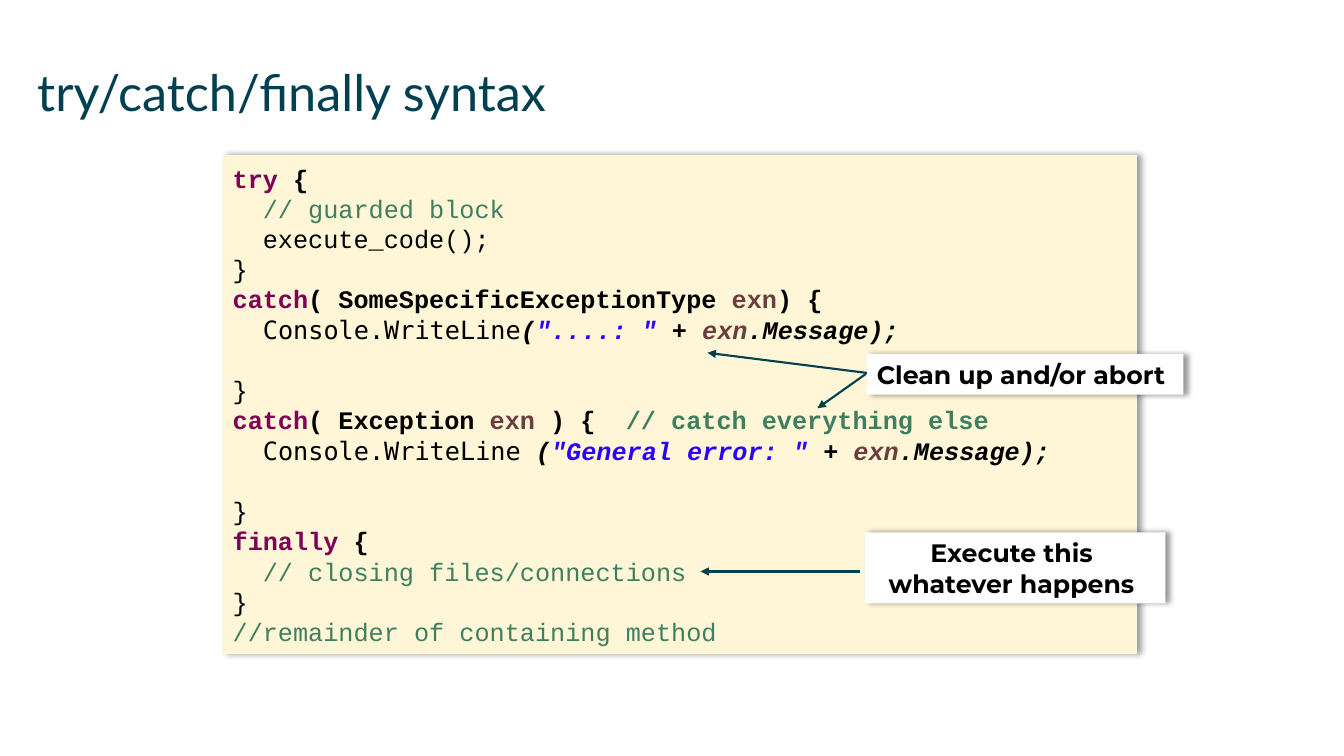
import pptx
import pptx.dml.color
import pptx.enum.shapes
import pptx.enum.text
import pptx.oxml
import pptx.oxml.ns
import pptx.util
from pptx.util import Pt

INK = "000000"
TEAL = "004050"
KEYWORD = "7F0055"
COMMENT = "3F7F5F"
VARIABLE = "6A3E3E"
STRING = "2A00FF"

CODE_FONT = "Courier New"
CALL_FONT = "DejaVu Sans Mono"

# Span style: font, colour, bold, italic
STYLES = {
    "plain": (CODE_FONT, INK, False, False),
    "call": (CALL_FONT, INK, False, False),
    "comment": (CODE_FONT, COMMENT, False, False),
    "bold comment": (CODE_FONT, COMMENT, True, False),
    "keyword": (CODE_FONT, KEYWORD, True, False),
    "bold": (CODE_FONT, INK, True, False),
    "variable": (CODE_FONT, VARIABLE, True, False),
    "italic": (CODE_FONT, INK, True, True),
    "italic variable": (CODE_FONT, VARIABLE, True, True),
    "string": (CODE_FONT, STRING, True, True),
}


def write_line_spans(call, message):
    """Spans of a code line that writes a message and the exception text."""
    return [("  ", "plain"), (call, "call"), ("(", "italic"), (message, "string"),
            (" + ", "italic"), ("exn", "italic variable"), (".Message);", "italic")]


CLOSING_BRACE = [("}", "plain")]
EMPTY_LINE = [("  ", "plain")]
CODE = [
    [("try", "keyword"), (" {", "bold")],
    [("  ", "plain"), ("// guarded block", "comment")],
    [("  execute_code();", "plain")],
    CLOSING_BRACE,
    [("catch", "keyword"), ("( SomeSpecificExceptionType ", "bold"),
     ("exn", "variable"), (") {", "bold")],
    write_line_spans("Console.WriteLine", '"....: "'),
    EMPTY_LINE,
    CLOSING_BRACE,
    [("catch", "keyword"), ("( Exception ", "bold"), ("exn", "variable"),
     (" ) {  ", "bold"), ("// catch everything else", "bold comment")],
    write_line_spans("Console.WriteLine ", '"General error: "'),
    EMPTY_LINE,
    CLOSING_BRACE,
    [("finally", "keyword"), (" {", "bold")],
    [("  ", "plain"), ("// closing files/connections", "comment")],
    CLOSING_BRACE,
    [("//remainder of containing method", "comment")],
]


def rgb(colour):
    return pptx.dml.color.RGBColor.from_string(colour)


def format_span(span, font, size, colour, bold=False, italic=False):
    span.font.name = font
    span.font.size = Pt(size)
    span.font.color.rgb = rgb(colour)
    span.font.bold = bold
    span.font.italic = italic


def add_soft_shadow(shape):
    shape.shadow.inherit = False
    effects = shape._element.spPr.find(pptx.oxml.ns.qn("a:effectLst"))
    effects.append(pptx.oxml.parse_xml(
        f'<a:outerShdw {pptx.oxml.ns.nsdecls("a")} blurRad="{Pt(4)}" dist="{Pt(3)}" dir="0">'
        '<a:srgbClr val="000000"><a:alpha val="40000"/></a:srgbClr></a:outerShdw>'))


def add_panel(page, left, top, width, height, fill):
    panel = page.shapes.add_shape(pptx.enum.shapes.MSO_SHAPE.RECTANGLE,
                                  Pt(left), Pt(top), Pt(width), Pt(height))
    panel.fill.solid()
    panel.fill.fore_color.rgb = rgb(fill)
    panel.line.fill.background()
    add_soft_shadow(panel)
    frame = panel.text_frame
    frame.word_wrap = True
    frame.vertical_anchor = pptx.enum.text.MSO_ANCHOR.MIDDLE
    return frame


def add_title(page, text):
    box = page.shapes.add_textbox(Pt(26.6), Pt(43.9), Pt(907), Pt(63.4))
    frame = box.text_frame
    frame.word_wrap = True
    frame.margin_left = frame.margin_right = frame.margin_top = frame.margin_bottom = 0
    frame.text = text
    format_span(frame.paragraphs[0].runs[0], "Lato", 36, TEAL)


def add_code(page, left, top, width, height, lines):
    frame = add_panel(page, left, top, width, height, "FEF6D7")
    frame.text = "\n" * (len(lines) - 1)
    for para, spans in zip(frame.paragraphs, lines):
        para.alignment = pptx.enum.text.PP_ALIGN.LEFT
        para.line_spacing = Pt(21.6)
        for text, style in spans:
            span = para.add_run()
            span.text = text
            font, colour, bold, italic = STYLES[style]
            format_span(span, font, 18, colour, bold, italic)


def add_callout(page, left, top, width, height, text, alignment):
    frame = add_panel(page, left, top, width, height, "FFFFFF")
    para = frame.paragraphs[0]
    para.text = text
    para.alignment = alignment
    for span in para.runs:
        format_span(span, "Montserrat", 18, INK, bold=True)


def add_arrow(page, start, end):
    arrow = page.shapes.add_connector(pptx.enum.shapes.MSO_CONNECTOR.STRAIGHT,
                                      *(Pt(value) for value in start + end))
    arrow.line.color.rgb = rgb(TEAL)
    arrow.line.width = Pt(1.5)
    properties = arrow._element.spPr
    namespace = pptx.oxml.ns.nsdecls("a")
    properties.find(pptx.oxml.ns.qn("a:ln")).append(
        pptx.oxml.parse_xml(f'<a:tailEnd {namespace} type="triangle"/>'))
    properties.append(pptx.oxml.parse_xml(f"<a:effectLst {namespace}/>"))


def main():
    deck = pptx.Presentation()
    deck.slide_width, deck.slide_height = Pt(960), Pt(540)
    page = deck.slides.add_slide(deck.slide_layouts[6])
    align = pptx.enum.text.PP_ALIGN

    add_code(page, 159.1, 110.9, 653, 356.4, CODE)
    add_title(page, "try/catch/finally syntax")

    add_callout(page, 619.2, 252.7, 226.1, 29.1, "Clean up and/or abort", align.LEFT)
    add_arrow(page, (619.2, 266.4), (505.4, 252))
    add_arrow(page, (618.5, 267.1), (583.9, 291.6))

    add_callout(page, 617.8, 380.2, 214.6, 50.7,
                "Execute this \vwhatever happens ", align.CENTER)
    add_arrow(page, (614.2, 408.2), (500.4, 408.2))

    deck.save("out.pptx")


if __name__ == "__main__":
    main()
